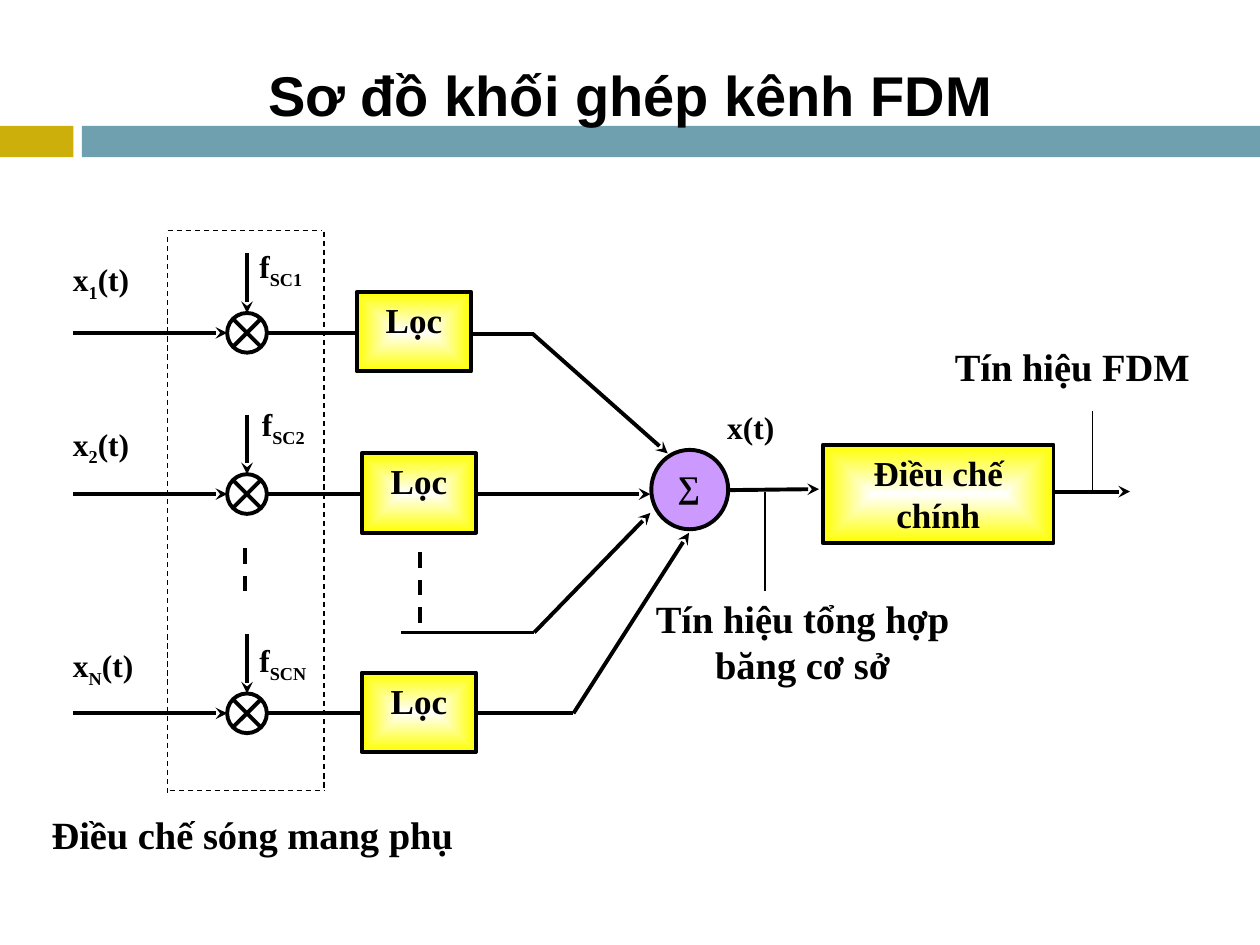
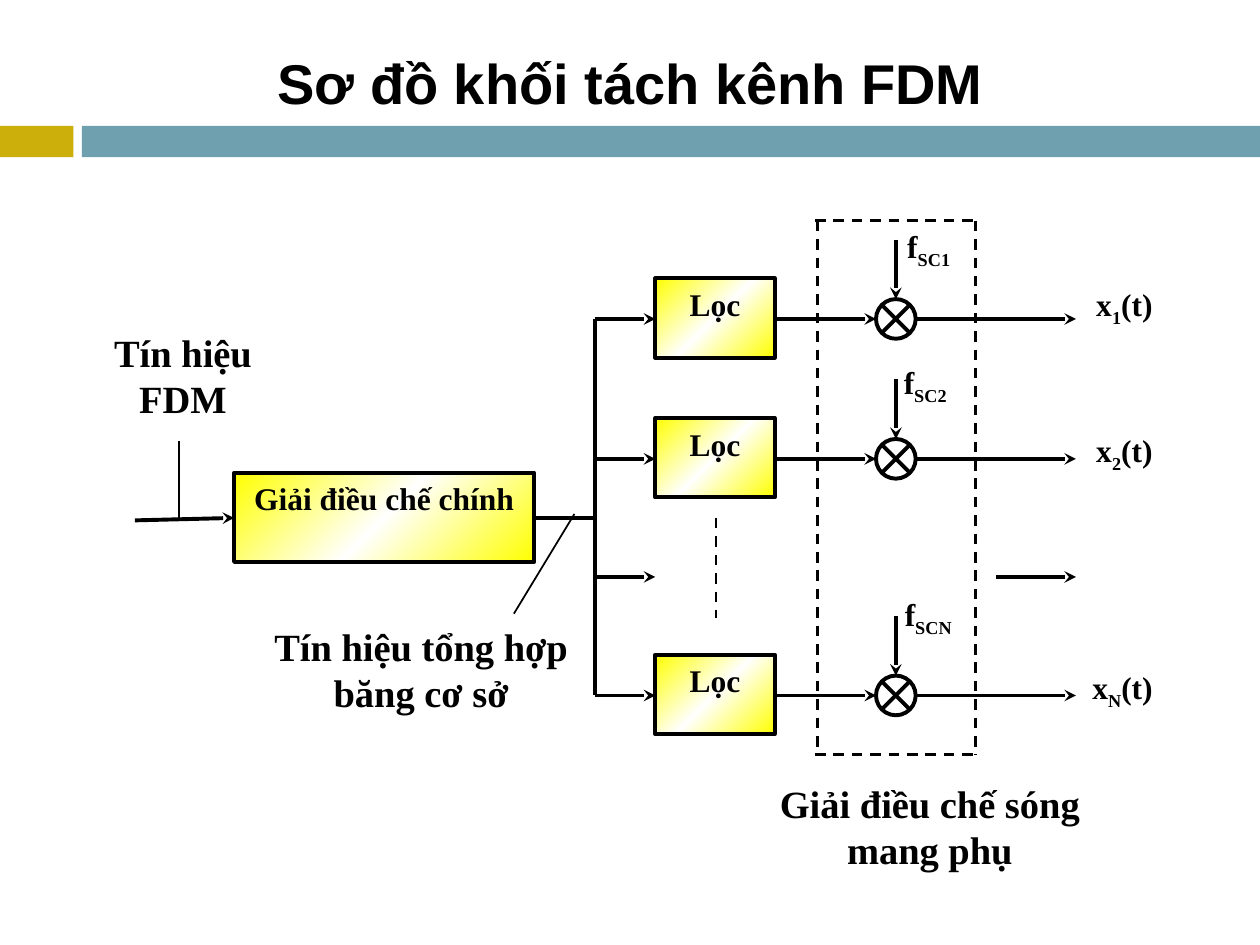
from dataclasses import dataclass

from lxml import etree
from pptx import Presentation
from pptx.dml.color import RGBColor
from pptx.enum.dml import MSO_LINE
from pptx.enum.shapes import MSO_CONNECTOR, MSO_SHAPE as Preset
from pptx.enum.text import MSO_ANCHOR as Anchor, PP_ALIGN as Align
from pptx.oxml import parse_xml
from pptx.oxml.ns import nsdecls, qn
from pptx.shapes.autoshape import Shape
from pptx.slide import Slide
from pptx.util import Cm, Pt


@dataclass(frozen=True)
class Theme:
    ink: str = "000000"
    paper: str = "FFFFFF"
    gold: str = "CCAF0A"
    teal: str = "6EA0B0"
    violet: str = "CC99FF"
    yellow: str = "FFFF00"
    title_font: str = "Arial"
    body_font: str = "Times New Roman"
    title: int = 32
    caption: int = 22
    block: int = 20
    label: int = 18
    wire: float = 2.25


THEME = Theme()


# All lengths below are centimetres
@dataclass(frozen=True)
class Area:
    left: float
    top: float
    width: float
    height: float

    def lengths(self) -> tuple:
        return Cm(self.left), Cm(self.top), Cm(self.width), Cm(self.height)


@dataclass(frozen=True)
class Wire:
    x1: float
    y1: float
    x2: float
    y2: float
    arrow: bool = False
    dash: bool = False
    weight: float = THEME.wire


@dataclass(frozen=True)
class Channel:
    index: str
    row: float
    filter_left: float
    signal_at: tuple[float, float]
    carrier_at: tuple[float, float]


@dataclass(frozen=True)
class Caption:
    text: str
    area: Area
    align: Align = Align.CENTER


MIXER = 0.8
FILTER_RISE = 0.82
FILTER_HEIGHT = 1.6
LABEL_WIDTH, LABEL_HEIGHT = 1.6, 1.6


def write(box: Shape, text: str, *, size: float, font: str = THEME.body_font,
          align: Align = Align.LEFT, anchor: Anchor = Anchor.TOP,
          side: float = 0, edge: float = 0.13) -> None:
    """Put text in a box; parts between underscores become subscripts."""
    frame = box.text_frame
    frame.word_wrap = True
    frame.vertical_anchor = anchor
    frame.margin_left = frame.margin_right = Cm(side)
    frame.margin_top = frame.margin_bottom = Cm(edge)
    para = frame.paragraphs[0]
    para.alignment = align
    for number, part in enumerate(text.split("_")):
        if not part:
            continue
        span = para.add_run()
        span.text = part
        span.font.name = font
        span.font.size = Pt(size)
        span.font.bold = True
        span.font.color.rgb = RGBColor.from_string(THEME.ink)
        if number % 2:
            span._r.get_or_add_rPr().set("baseline", "-25000")


def add_label(page: Slide, text: str, area: Area, **style) -> None:
    write(page.shapes.add_textbox(*area.lengths()), text, **style)


def add_block(page: Slide, area: Area, fill: str, *, preset: Preset = Preset.RECTANGLE,
              outlined: bool = True) -> Shape:
    block = page.shapes.add_shape(preset, *area.lengths())
    block.shadow.inherit = False
    block.fill.solid()
    block.fill.fore_color.rgb = RGBColor.from_string(fill)
    if outlined:
        block.line.color.rgb = RGBColor.from_string(THEME.ink)
        block.line.width = Pt(THEME.wire)
    else:
        block.line.fill.background()
    return block


def add_glow_block(page: Slide, text: str, area: Area, *, size: int, radial: bool) -> None:
    """Yellow block with a white centre (radial) or a white diagonal."""
    block = add_block(page, area, THEME.yellow)
    if radial:
        stops = [(0, THEME.paper), (100, THEME.yellow)]
        shade = ('<a:path path="shape"><a:fillToRect l="50000" t="50000" '
                 'r="50000" b="50000"/></a:path>')
    else:
        stops = [(0, THEME.yellow), (50, THEME.paper), (100, THEME.yellow)]
        shade = '<a:lin ang="2700000" scaled="1"/>'
    listed = "".join(f'<a:gs pos="{place * 1000}"><a:srgbClr val="{colour}"/></a:gs>'
                     for place, colour in stops)
    gradient = parse_xml(f'<a:gradFill {nsdecls("a")} rotWithShape="1">'
                         f'<a:gsLst>{listed}</a:gsLst>{shade}</a:gradFill>')
    solid = block._element.spPr.find(qn("a:solidFill"))
    solid.getparent().replace(solid, gradient)
    write(block, text, size=size, align=Align.CENTER, side=0.25)


def add_wires(page: Slide, wires: list[Wire]) -> None:
    for wire in wires:
        line = page.shapes.add_connector(MSO_CONNECTOR.STRAIGHT, Cm(wire.x1), Cm(wire.y1),
                                         Cm(wire.x2), Cm(wire.y2))
        line.line.color.rgb = RGBColor.from_string(THEME.ink)
        line.line.width = Pt(wire.weight)
        if wire.dash:
            line.line.dash_style = MSO_LINE.DASH
        if wire.arrow:
            etree.SubElement(line.line._get_or_add_ln(), qn("a:tailEnd"), type="stealth")
        etree.SubElement(line._element.spPr, qn("a:effectLst"))


def add_channel(page: Slide, channel: Channel, *, mixer_x: float, filter_width: float,
                size: int, radial: bool) -> None:
    """Filter, mixer with its carrier arrow, and the two labels of a channel."""
    row = channel.row
    add_glow_block(page, "Lọc", Area(channel.filter_left, row - FILTER_RISE, filter_width,
                                     FILTER_HEIGHT), size=size, radial=radial)
    add_block(page, Area(mixer_x - MIXER / 2, row - MIXER / 2, MIXER, MIXER), THEME.paper,
              preset=Preset.FLOWCHART_SUMMING_JUNCTION)
    add_wires(page, [Wire(mixer_x, row - 1.6, mixer_x, row - MIXER / 2, arrow=True)])
    for text, place in ((f"x_{channel.index}_(t)", channel.signal_at),
                        (f"f_SC{channel.index}_", channel.carrier_at)):
        add_label(page, text, Area(*place, LABEL_WIDTH, LABEL_HEIGHT), size=THEME.label)


def add_captions(page: Slide, captions: list[Caption]) -> None:
    for caption in captions:
        add_label(page, caption.text, caption.area, size=THEME.caption, align=caption.align)


def add_page(deck: Presentation, title: str, title_top: float) -> Slide:
    """Blank page with the two bands and the title."""
    page = deck.slides.add_slide(deck.slide_layouts[6])
    add_block(page, Area(0, 2.54, 1.48, 0.63), THEME.gold, outlined=False)
    add_block(page, Area(1.65, 2.54, 23.75, 0.63), THEME.teal, outlined=False)
    add_label(page, title, Area(1.07, title_top, 23.29, 2.92), size=THEME.title,
              font=THEME.title_font, align=Align.CENTER, anchor=Anchor.MIDDLE)
    return page


def build_multiplexer(deck: Presentation) -> None:
    page = add_page(deck, "Sơ đồ khối ghép kênh FDM", 0.43)
    mixer_x = 4.98
    channels = [
        Channel("1", 6.71, 7.19, (1.47, 5.11), (5.23, 4.85)),
        Channel("2", 9.96, 7.29, (1.47, 8.43), (5.28, 8.03)),
        Channel("N", 14.38, 7.29, (1.47, 12.9), (5.23, 12.8)),
    ]

    # Wires into the mixers and filters, then on to the adder
    for channel in channels:
        add_wires(page, [
            Wire(1.47, channel.row, mixer_x - MIXER / 2, channel.row, arrow=True),
            Wire(mixer_x + MIXER / 2, channel.row, channel.filter_left, channel.row),
        ])
    add_wires(page, [
        Wire(9.22, 6.73, 10.77, 6.73),
        Wire(10.74, 6.73, 13.46, 9.14, arrow=True),
        Wire(9.22, 9.96, 13.11, 9.96, arrow=True),
        Wire(8.08, 12.75, 10.77, 12.75),
        Wire(10.77, 12.75, 13.11, 10.34, arrow=True),
        Wire(9.22, 14.38, 11.56, 14.38),
        Wire(11.56, 14.38, 13.89, 10.74, arrow=True),
        Wire(14.71, 9.88, 16.51, 9.86, arrow=True),
        Wire(21.23, 9.91, 22.78, 9.91, arrow=True),
    ])
    for channel in channels:
        add_channel(page, channel, mixer_x=mixer_x, filter_width=2.31,
                    size=THEME.block, radial=True)

    # Adder and main modulator
    add_block(page, Area(13.13, 9.07, 1.55, 1.6), THEME.violet,
              preset=Preset.FLOWCHART_CONNECTOR)
    adder_sign = add_block(page, Area(13.49, 9.42, 0.79, 0.81), THEME.violet, outlined=False)
    write(adder_sign, "∑", size=THEME.label, align=Align.CENTER, edge=0)
    add_glow_block(page, "Điều chế chính", Area(16.59, 8.97, 4.65, 1.98),
                   size=THEME.block, radial=True)

    # Subcarrier frame, leader lines and continuation dashes
    add_wires(page, [
        Wire(3.38, 4.65, 6.48, 4.65, dash=True, weight=0.75),
        Wire(3.43, 15.93, 6.53, 15.93, dash=True, weight=0.75),
        Wire(3.38, 4.78, 3.38, 16.03, dash=True, weight=0.75),
        Wire(6.53, 4.67, 6.53, 15.93, dash=True, weight=0.75),
        Wire(15.42, 9.91, 15.42, 11.91, weight=0.75),
        Wire(22.02, 8.28, 22.02, 9.88, weight=0.75),
        Wire(4.93, 11.05, 4.93, 12.09, dash=True),
        Wire(8.46, 11.13, 8.46, 12.6, dash=True),
    ])
    add_label(page, "x(t)", Area(14.66, 8.1, LABEL_WIDTH, LABEL_HEIGHT), size=THEME.label)
    add_captions(page, [
        Caption("Điều chế sóng mang phụ", Area(1.04, 16.21, 9.09, 1.45), Align.LEFT),
        Caption("Tín hiệu FDM", Area(19.25, 6.78, 5.72, 1.35), Align.LEFT),
        Caption("Tín hiệu tổng hợp băng cơ sở", Area(13.08, 11.86, 6.2, 2.01)),
    ])


def build_demultiplexer(deck: Presentation) -> None:
    page = add_page(deck, "Sơ đồ khối tách kênh FDM", 0.2)
    mixer_x, bus_x, filter_left, filter_width, output_x = 18.06, 11.99, 13.21, 2.41, 21.69
    stub_row = 11.63
    channels = [
        Channel("1", 6.43, filter_left, (22.1, 5.61), (18.29, 4.45)),
        Channel("2", 9.25, filter_left, (22.1, 8.56), (18.22, 7.19)),
        Channel("N", 14.02, filter_left, (22.02, 13.34), (18.24, 11.86)),
    ]

    # Main demodulator feeding the bus
    add_glow_block(page, "Giải điều chế chính", Area(4.72, 9.53, 6.05, 1.8),
                   size=THEME.label, radial=False)
    add_wires(page, [
        Wire(2.72, 10.49, 4.72, 10.44, arrow=True),
        Wire(10.8, 10.44, bus_x, 10.44),
        Wire(bus_x, channels[0].row, bus_x, channels[-1].row),
        Wire(bus_x, stub_row, filter_left, stub_row, arrow=True),
        Wire(20.07, stub_row, output_x, stub_row, arrow=True),
    ])

    # Channel branches
    for channel in channels:
        row = channel.row
        add_channel(page, channel, mixer_x=mixer_x, filter_width=filter_width,
                    size=THEME.label, radial=False)
        add_wires(page, [
            Wire(bus_x, row, filter_left, row, arrow=True),
            Wire(filter_left + filter_width, row, mixer_x - MIXER / 2, row, arrow=True),
            Wire(mixer_x + MIXER / 2, row, output_x, row, arrow=True),
        ])

    # Subcarrier frame, continuation dashes and leader lines
    add_wires(page, [Wire(x, 4.45, x, 15.21, dash=True, weight=1.5) for x in (16.48, 19.66)])
    add_wires(page, [Wire(16.43, y, 19.66, y, dash=True, weight=1.5) for y in (4.45, 15.21)])
    add_wires(page, [
        Wire(14.43, 10.44, 14.43, 12.45, dash=True, weight=1.5),
        Wire(11.58, 10.36, 10.36, 12.37, weight=1),
        Wire(3.61, 8.89, 3.61, 10.49, weight=1),
    ])
    add_captions(page, [
        Caption("Tín hiệu FDM", Area(1.52, 6.5, 4.34, 2.39)),
        Caption("Tín hiệu tổng hợp băng cơ sở", Area(5.38, 12.42, 6.22, 2.62)),
        Caption("Giải điều chế sóng mang phụ", Area(15.57, 15.6, 6.35, 1.55)),
    ])


def main() -> None:
    deck = Presentation()
    deck.slide_width, deck.slide_height = Cm(25.4), Cm(19.05)
    build_multiplexer(deck)
    build_demultiplexer(deck)
    deck.save("out.pptx")


if __name__ == "__main__":
    main()
